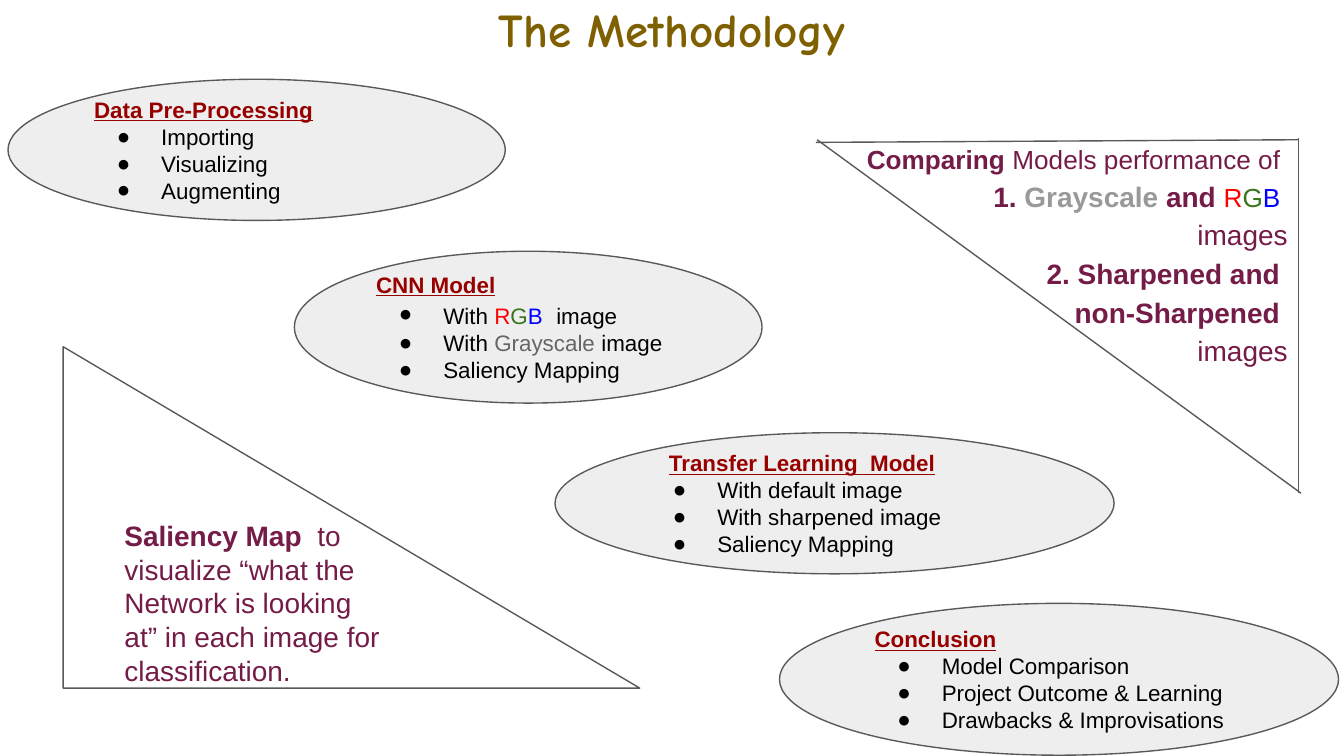
from lxml.etree import SubElement
from pptx import Presentation
from pptx.dml.color import RGBColor
from pptx.enum.shapes import MSO_CONNECTOR, MSO_SHAPE
from pptx.enum.text import MSO_ANCHOR, MSO_AUTO_SIZE, PP_ALIGN
from pptx.oxml.ns import qn
from pptx.util import Inches, Pt

WIDTH = Inches(10)
HEIGHT = WIDTH * 9 // 16
BLACK, OUTLINE, OVAL_FILL, WHITE = "000000", "595959", "EEEEEE", "FFFFFF"
HEADING, PLUM, GOLD = "980000", "741B47", "7F6000"
RED, GREEN, BLUE = "FF0000", "38761D", "0000FF"

# Boxes are left, top, width, height in percent of the slide.
STAGES = [
    ("CNN Model", (21.9, 33.24, 34.8, 20.09), 0, [
        [("With ",), ("R", RED), ("G", GREEN), ("B", BLUE),
         (" ", BLACK, 14), (" image",)],
        [("With ",), ("Grayscale", "666666"), (" image",)],
        [("Saliency Mapping",)],
    ]),
    ("Data Pre-Processing", (0.6, 10.49, 37, 18.67), 0, [
        [("Importing",)], [("Visualizing",)], [("Augmenting",)],
    ]),
    ("Transfer Learning  Model", (41.3, 57.24, 41.6, 18.67), 0.14, [
        [("With default image",)], [("With sharpened image",)],
        [("Saliency Mapping",)],
    ]),
    ("Conclusion", (58, 79.82, 41.6, 20.09), 0, [
        [("Model Comparison",)], [("Project Outcome & Learning",)],
        [("Drawbacks & Improvisations",)],
    ]),
]
SALIENCY = [
    [("Saliency Map", PLUM, 15, True),
     ("  to visualize “what the Network is looking at” in each image for",
      PLUM, 15)],
    [("classification.", PLUM, 15)],
]
COMPARISON = [
    [("Comparing", PLUM, 14, True), (" Models performance of ", PLUM, 14)],
    [("1. ", PLUM, 15, True), ("Grayscale", "999999", 15, True),
     (" and ", PLUM, 15, True),
     ("R", RED, 14), ("G", GREEN, 14), ("B ", BLUE, 14)],
    [("images", PLUM, 15)],
    [("2. Sharpened and ", PLUM, 15, True)],
    [("non-Sharpened ", PLUM, 15, True)],
    [("images", PLUM, 15)],
]
COMPARISON_EDGES = [
    ((96.6, 18.31), (96.6, 65.24)),
    ((96.8, 65.24), (60.8, 18.49)),
    ((60.7, 18.84), (96.6, 18.49)),
]


def color(hex_code):
    return RGBColor.from_string(hex_code)


def across(percent):
    return round(WIDTH * percent / 100)


def down(percent):
    return round(HEIGHT * percent / 100)


def place(box):
    left, top, width, height = box
    return across(left), down(top), across(width), down(height)


def set_frame(frame, anchor, top_inset=0.1):
    frame.word_wrap = True
    frame.vertical_anchor = anchor
    frame.margin_left = frame.margin_right = frame.margin_bottom = Inches(0.1)
    frame.margin_top = Inches(top_inset)


def style(run, hex_code=BLACK, size=12, bold=False, font="Arial"):
    run.font.name = font
    run.font.size = Pt(size)
    run.font.bold = bold
    run.font.color.rgb = color(hex_code)


def write(paragraph, pieces, align=PP_ALIGN.LEFT):
    """Fill a paragraph from (text, colour, size, bold) pieces."""
    paragraph.alignment = align
    for text, *look in pieces:
        run = paragraph.add_run()
        run.text = text
        style(run, *look)


def write_all(frame, paragraphs, align=PP_ALIGN.LEFT, spacing=None):
    for index, pieces in enumerate(paragraphs):
        paragraph = frame.add_paragraph() if index else frame.paragraphs[0]
        paragraph.line_spacing = spacing
        write(paragraph, pieces, align)


def indent(paragraph, left, first=0):
    properties = paragraph._p.get_or_add_pPr()
    properties.set("marL", str(Inches(left)))
    properties.set("indent", str(Inches(first)))
    return properties


def add_bullet(paragraph):
    properties = indent(paragraph, 0.5, -0.33)
    bullet_color = SubElement(properties, qn("a:buClr"))
    SubElement(bullet_color, qn("a:srgbClr"), val=BLACK)
    SubElement(properties, qn("a:buFont"), typeface="Arial")
    SubElement(properties, qn("a:buChar"), char="●")


def add_outlined(slide, kind, box, fill):
    shape = slide.shapes.add_shape(kind, *place(box))
    shape.shadow.inherit = False
    shape.fill.solid()
    shape.fill.fore_color.rgb = color(fill)
    shape.line.color.rgb = color(OUTLINE)
    shape.line.width = Pt(0.75)
    set_frame(shape.text_frame, MSO_ANCHOR.MIDDLE)
    return shape.text_frame


def add_stage(slide, heading, box, heading_indent, steps):
    frame = add_outlined(slide, MSO_SHAPE.OVAL, box, OVAL_FILL)
    top_line = frame.paragraphs[0]
    indent(top_line, heading_indent)
    write(top_line, [(heading, HEADING, 12, True)])
    top_line.runs[0].font.underline = True
    for pieces in steps:
        step = frame.add_paragraph()
        add_bullet(step)
        write(step, pieces)


def add_edge(slide, start, end):
    edge = slide.shapes.add_connector(
        MSO_CONNECTOR.STRAIGHT, across(start[0]), down(start[1]),
        across(end[0]), down(end[1]))
    edge.line.color.rgb = color(OUTLINE)
    edge.line.width = Pt(0.75)
    SubElement(edge._element.spPr, qn("a:effectLst"))


def add_comparison(slide):
    for start, end in COMPARISON_EDGES:
        add_edge(slide, start, end)
    note = slide.shapes.add_textbox(*place((60.8, 12.44, 36, 38.4)))
    set_frame(note.text_frame, MSO_ANCHOR.TOP, top_inset=0.33)
    write_all(note.text_frame, COMPARISON, PP_ALIGN.RIGHT, 1.15)


def set_title(slide):
    title = slide.shapes.title
    title.left, title.top, title.width, title.height = place(
        (3.4, -1.78, 93.2, 7.82))
    frame = title.text_frame
    frame.text = "The Methodology"
    frame.auto_size = MSO_AUTO_SIZE.NONE
    set_frame(frame, MSO_ANCHOR.TOP)
    frame.paragraphs[0].alignment = PP_ALIGN.CENTER
    style(frame.paragraphs[0].runs[0], GOLD, 25.2, True, "Comic Neue")


def main():
    deck = Presentation()
    deck.slide_width, deck.slide_height = WIDTH, HEIGHT
    slide = deck.slides.add_slide(deck.slide_layouts.get_by_name("Title Only"))
    set_title(slide)
    for stage in STAGES:
        add_stage(slide, *stage)
    saliency = add_outlined(slide, MSO_SHAPE.RIGHT_TRIANGLE,
                            (4.7, 45.87, 42.9, 45.16), WHITE)
    write_all(saliency, SALIENCY)
    add_comparison(slide)
    deck.save("out.pptx")


if __name__ == "__main__":
    main()
